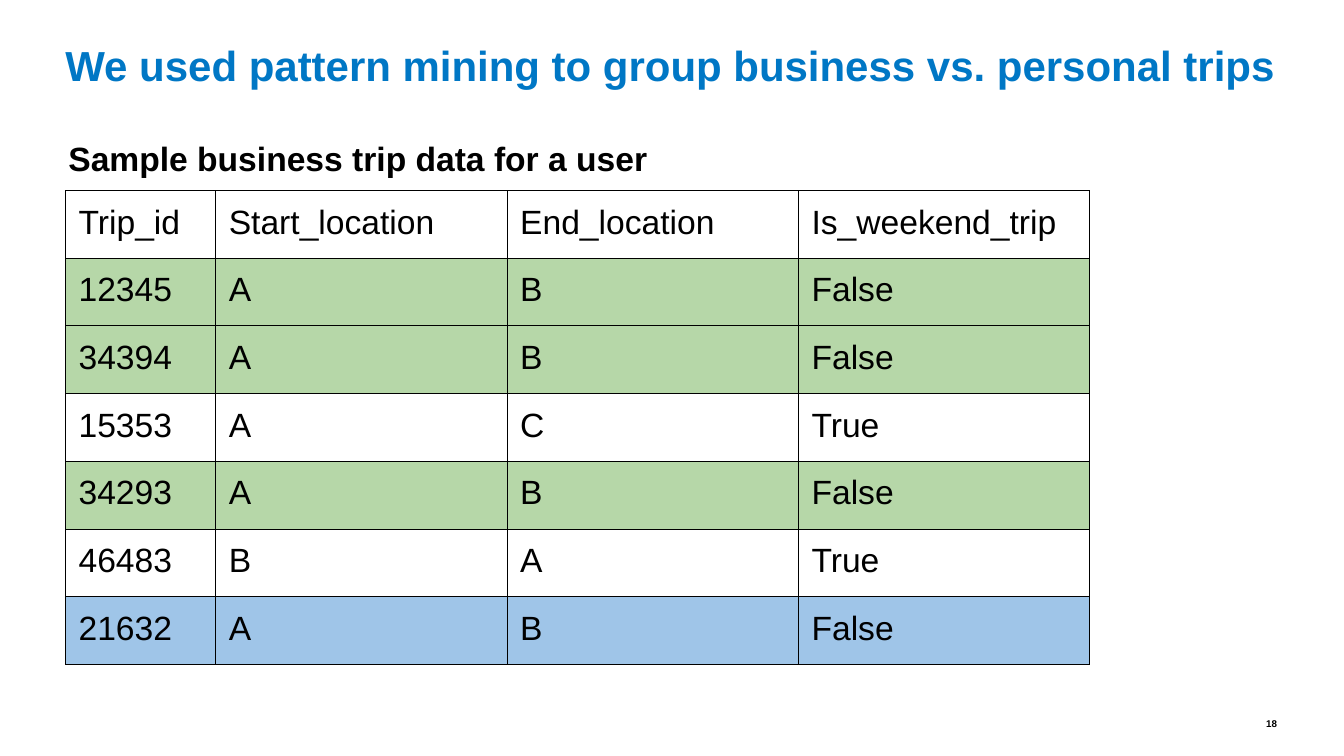
from lxml import etree
from pptx import Presentation, util as u
from pptx.dml.color import RGBColor
from pptx.enum import shapes, text
from pptx.oxml import ns

FONT = "Arial"
BLACK, BLUE, GREEN, SKY = "000000", "0077C5", "B6D7A8", "9FC5E8"
LEFT, TOP, ROW = 0.65, 1.89, 0.672
COLUMNS = [1.49, 2.89, 2.89, 2.89]
PADDING = 0.13
TRIPS = [
    ["Trip_id", "Start_location", "End_location", "Is_weekend_trip"],
    ["12345", "A", "B", "False"],
    ["34394", "A", "B", "False"],
    ["15353", "A", "C", "True"],
    ["34293", "A", "B", "False"],
    ["46483", "B", "A", "True"],
]
NEW_TRIP = [["21632", "A", "B", "False"]]


def color(value):
    return RGBColor.from_string(value)


def style(para, size, ink=BLACK, bold=False):
    para.font.name = FONT
    para.font.size = u.Pt(size)
    para.font.bold = bold
    para.font.color.rgb = color(ink)


def grid_area(first_row, row_count):
    return [u.Inches(n) for n in (LEFT, TOP + first_row * ROW, sum(COLUMNS), row_count * ROW)]


def add_label(page, words, area, size, ink=BLACK, inset=0.1, spacing=0.95):
    box = page.shapes.add_textbox(*[u.Inches(n) for n in area])
    frame = box.text_frame
    frame.word_wrap = True
    frame.vertical_anchor = text.MSO_ANCHOR.MIDDLE
    frame.margin_top = frame.margin_bottom = u.Inches(inset)
    para = frame.paragraphs[0]
    para.text = words
    para.line_spacing = spacing
    style(para, size, ink, True)


def add_band(page, first_row, row_count):
    band = page.shapes.add_shape(shapes.MSO_SHAPE.RECTANGLE, *grid_area(first_row, row_count))
    band.shadow.inherit = False
    band.fill.solid()
    band.fill.fore_color.rgb = color(GREEN)
    band.line.fill.background()


def add_borders(cell):
    properties = cell._tc.get_or_add_tcPr()
    for position, side in enumerate(("lnL", "lnR", "lnT", "lnB")):
        line = etree.Element(ns.qn(f"a:{side}"), w=str(u.Pt(0.75)))
        fill = etree.SubElement(line, ns.qn("a:solidFill"))
        etree.SubElement(fill, ns.qn("a:srgbClr"), val=BLACK)
        properties.insert(position, line)


def fill_cell(cell, words, fill):
    cell.margin_left = cell.margin_right = u.Inches(PADDING)
    cell.margin_top = cell.margin_bottom = u.Inches(PADDING)
    if fill:
        cell.fill.solid()
        cell.fill.fore_color.rgb = color(fill)
    else:
        cell.fill.background()
    para = cell.text_frame.paragraphs[0]
    para.text = words
    style(para, 24)
    add_borders(cell)


def add_trips(page, trips, first_row, fill=None):
    area = grid_area(first_row, len(trips))
    table = page.shapes.add_table(len(trips), len(COLUMNS), *area).table
    table.first_row = table.horz_banding = False
    for column, width in zip(table.columns, COLUMNS):
        column.width = u.Inches(width)
    for row, trip in zip(table.rows, trips):
        row.height = u.Inches(ROW)
        for cell, words in zip(row.cells, trip):
            fill_cell(cell, words, fill)


def main():
    deck = Presentation()
    deck.slide_width, deck.slide_height = u.Inches(13.33), u.Inches(7.5)
    page = deck.slides.add_slide(deck.slide_layouts[6])
    add_label(page, "18", (12.46, 7.08, 0.39, 0.2), 7, inset=0.05, spacing=1.0)
    add_band(page, 4, 1)
    add_band(page, 1, 2)
    add_label(page, "We used pattern mining to group business vs. personal trips",
              (0.55, 0.32, 12.62, 0.69), 30, BLUE)
    add_trips(page, TRIPS, 0)
    add_label(page, "Sample business trip data for a user", (0.58, 1.17, 9.09, 0.83), 24)
    add_trips(page, NEW_TRIP, len(TRIPS), SKY)
    deck.save("out.pptx")


if __name__ == "__main__":
    main()
